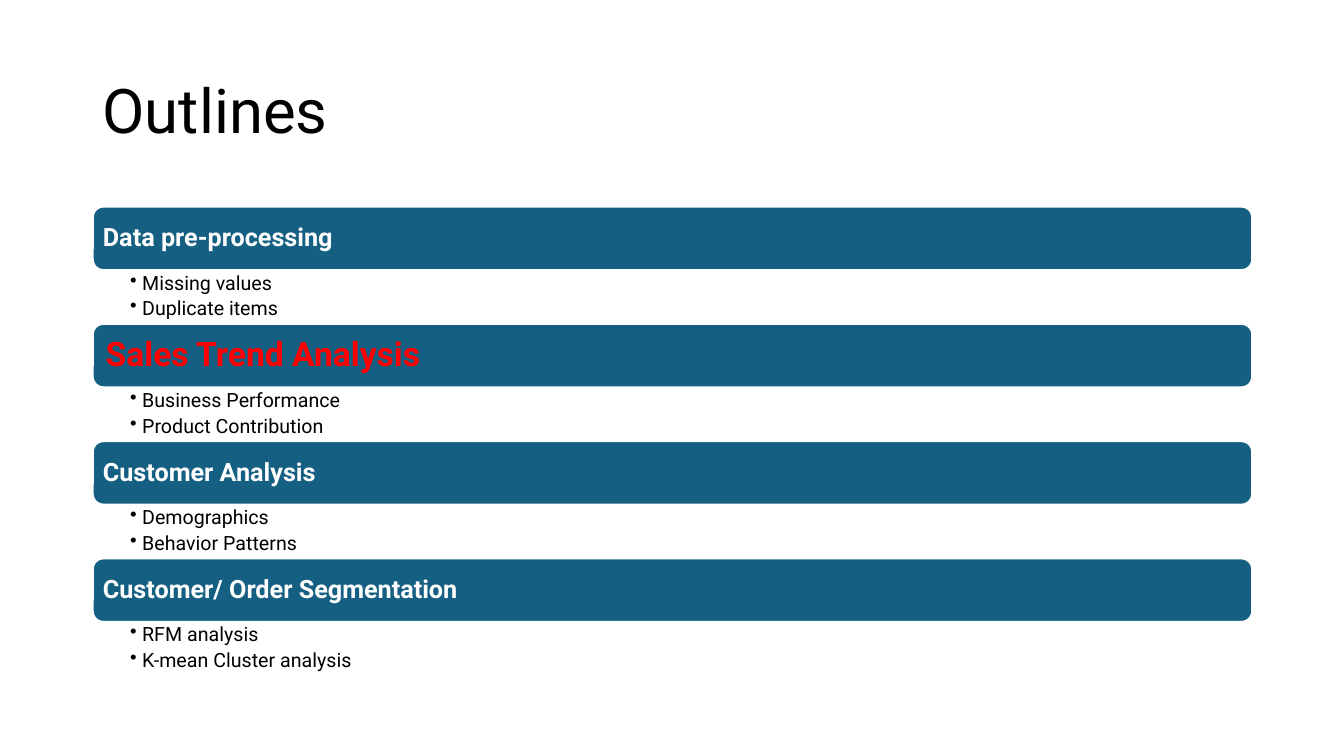
from lxml.etree import SubElement
from pptx import Presentation
from pptx.dml.color import RGBColor
from pptx.enum.shapes import MSO_SHAPE
from pptx.enum.text import MSO_ANCHOR, PP_ALIGN
from pptx.oxml.ns import qn
from pptx.util import Inches, Pt

FONT = "Roboto"
COLORS = {"bar": "156082", "white": "FFFFFF", "black": "000000", "highlight": "FF0000"}

LEFT, WIDTH = 0.92, 11.5
FIRST_TOP, LAST_TOP = 2.05, 5.54
BAR_HEIGHT, TOPICS_HEIGHT = 0.63, 0.53

SECTIONS = [
    ("Data pre-processing", ["Missing values", "Duplicate items"]),
    ("Sales Trend Analysis", ["Business Performance", "Product Contribution"]),
    ("Customer Analysis", ["Demographics", "Behavior Patterns"]),
    ("Customer/ Order Segmentation", ["RFM analysis", "K-mean Cluster analysis"]),
]
CURRENT_SECTION = "Sales Trend Analysis"


def rgb(name):
    return RGBColor.from_string(COLORS[name])


def set_insets(frame, left, top, right, bottom):
    frame.margin_left, frame.margin_top = Inches(left), Inches(top)
    frame.margin_right, frame.margin_bottom = Inches(right), Inches(bottom)


def write(paragraph, text, size, color, bold=False):
    paragraph.text = text
    paragraph.alignment = PP_ALIGN.LEFT
    paragraph.line_spacing = 0.9
    font = paragraph.runs[0].font
    font.name, font.size, font.bold = FONT, Pt(size), bold
    font.color.rgb = rgb(color)


def add_bullet(paragraph):
    properties = paragraph._p.get_or_add_pPr()
    properties.set("marL", str(Inches(0.12)))
    properties.set("indent", str(Inches(-0.12)))
    SubElement(properties, qn("a:buChar")).set("char", "•")


def add_title(slide, text):
    title = slide.shapes.add_textbox(Inches(LEFT), Inches(0.4), Inches(WIDTH), Inches(1.45))
    frame = title.text_frame
    frame.word_wrap = True
    frame.vertical_anchor = MSO_ANCHOR.MIDDLE
    write(frame.paragraphs[0], text, 44, "black")


def add_section_bar(slide, top, heading):
    bar = slide.shapes.add_shape(
        MSO_SHAPE.ROUNDED_RECTANGLE,
        Inches(LEFT), Inches(top), Inches(WIDTH), Inches(BAR_HEIGHT),
    )
    bar.shadow.inherit = False
    bar.fill.solid()
    bar.fill.fore_color.rgb = rgb("bar")
    bar.line.color.rgb = rgb("white")
    bar.line.width = Pt(1.5)
    frame = bar.text_frame
    frame.word_wrap = True
    frame.vertical_anchor = MSO_ANCHOR.MIDDLE
    if heading == CURRENT_SECTION:
        inset, size, color = 0.1, 24, "highlight"
    else:
        inset, size, color = 0.07, 18, "white"
    set_insets(frame, inset, inset, inset, inset)
    write(frame.paragraphs[0], heading, size, color, bold=True)


def add_topics(slide, top, topics):
    box = slide.shapes.add_textbox(
        Inches(LEFT), Inches(top), Inches(WIDTH), Inches(TOPICS_HEIGHT)
    )
    frame = box.text_frame
    frame.word_wrap = True
    set_insets(frame, 0.37, 0.03, 0.14, 0.03)
    frame.text = "\n".join(topics)
    for paragraph, topic in zip(frame.paragraphs, topics):
        write(paragraph, topic, 14, "black")
        paragraph.level = 1
        paragraph.space_after = Pt(3.3)
        add_bullet(paragraph)


def main():
    presentation = Presentation()
    presentation.slide_width, presentation.slide_height = Inches(13.33), Inches(7.5)
    slide = presentation.slides.add_slide(presentation.slide_layouts[6])

    add_title(slide, "Outlines")
    pitch = (LAST_TOP - FIRST_TOP) / (len(SECTIONS) - 1)
    for index, (heading, topics) in enumerate(SECTIONS):
        top = FIRST_TOP + index * pitch
        add_section_bar(slide, top, heading)
        add_topics(slide, top + BAR_HEIGHT, topics)

    presentation.save("out.pptx")


if __name__ == "__main__":
    main()
